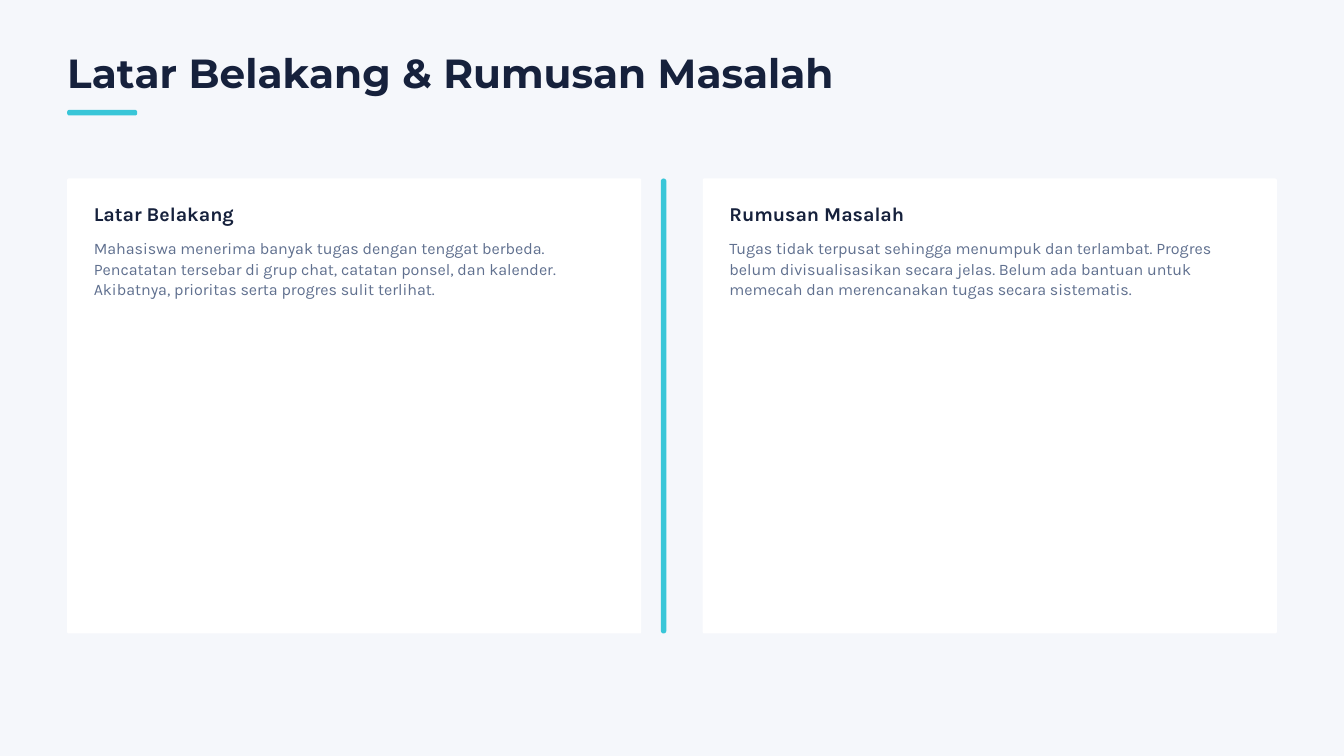
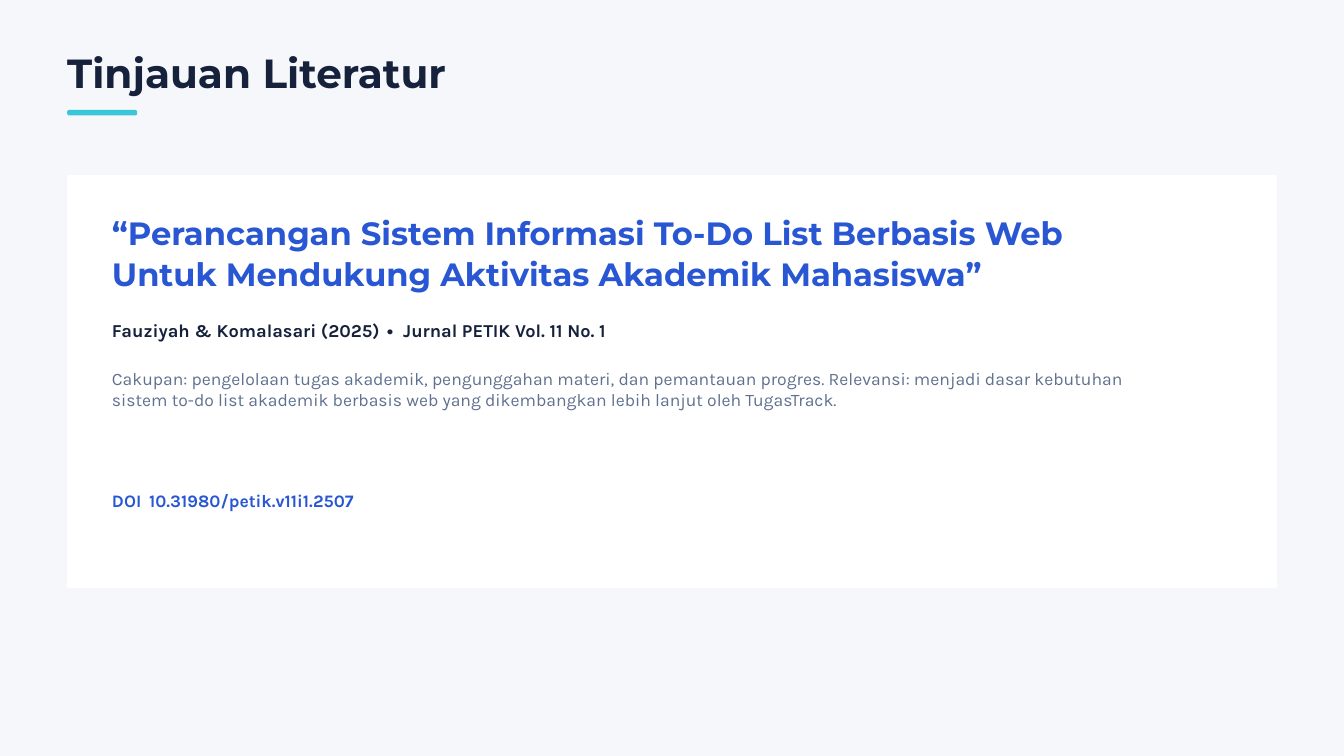
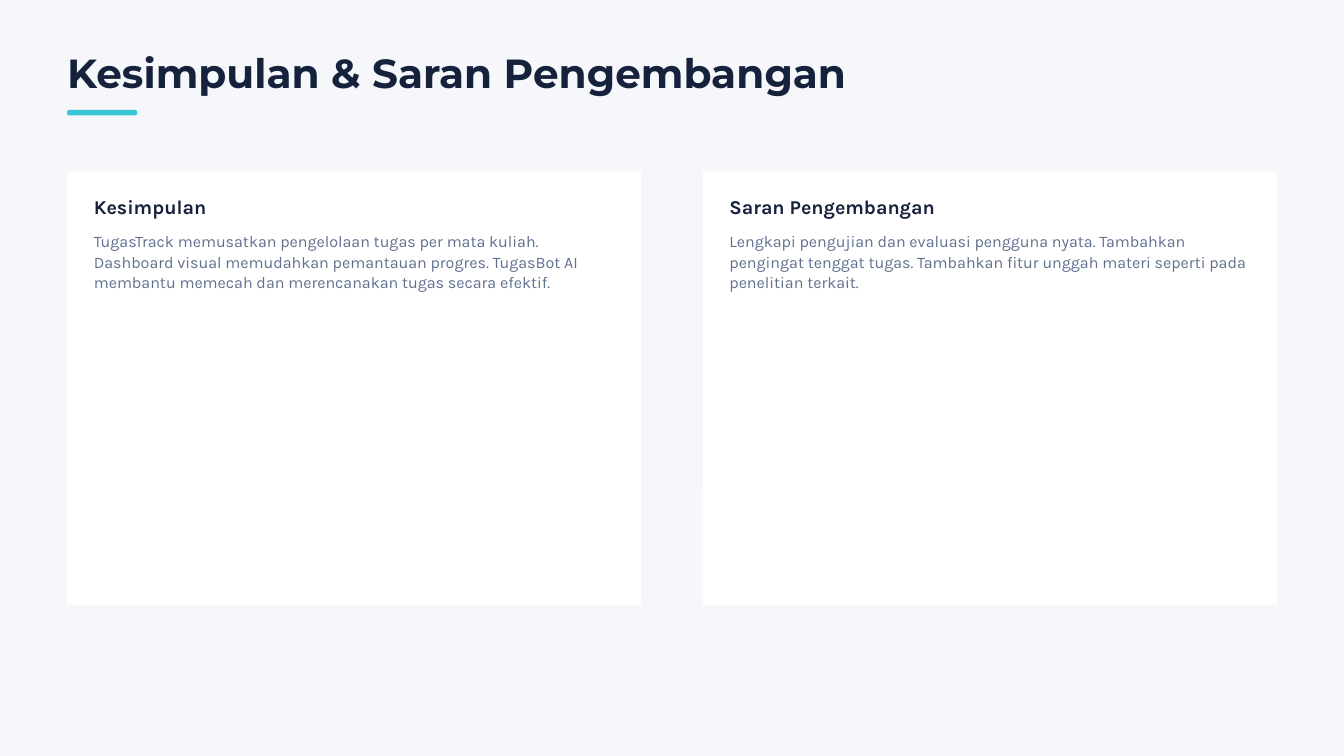
from dataclasses import dataclass

from lxml import etree
from pptx import Presentation
from pptx import util as u
from pptx.dml import color
from pptx.enum import shapes, text
from pptx.oxml import ns
from pptx.slide import Slide

PX = 9525
WIDTH, HEIGHT = 1920, 1080
MARGIN = 96
COLORS = {
    "page": "F5F7FB",
    "card": "FFFFFF",
    "ink": "16213C",
    "muted": "60708F",
    "blue": "2957D3",
    "accent": "39C6D8",
}


@dataclass(frozen=True)
class Box:
    """A rectangle in px."""

    left: int
    top: int
    width: int
    height: int

    def emu(self) -> tuple[int, ...]:
        """Return the rectangle in EMU."""
        return tuple(v * PX for v in (self.left, self.top, self.width, self.height))


@dataclass(frozen=True)
class Style:
    """A text style with sizes in points."""

    font: str
    size: float
    leading: float
    color: str
    bold: bool = True


@dataclass(frozen=True)
class Card:
    """A heading with its explanation."""

    heading: str
    body: str


TITLE = Style("Montserrat", 43.5, 54.4, "ink")
PAPER = Style("Montserrat", 34.5, 43.1, "blue")
HEADING = Style("Karla", 21, 26.2, "ink")
BODY = Style("Karla", 17.2, 21.6, "muted", False)
AUTHORS = Style("Karla", 19.5, 24.4, "ink")
SCOPE = Style("Karla", 18.8, 23.4, "muted", False)
DOI = Style("Karla", 18.8, 23.4, "blue")

CARD_WIDTH = 820
CARD_GAP = WIDTH - 2 * (MARGIN + CARD_WIDTH)
CARD_PAD = 38

BACKGROUND_CARDS = (
    Card(
        "Latar Belakang",
        "Mahasiswa menerima banyak tugas dengan tenggat berbeda. Pencatatan tersebar "
        "di grup chat, catatan ponsel, dan kalender. Akibatnya, prioritas serta "
        "progres sulit terlihat.",
    ),
    Card(
        "Rumusan Masalah",
        "Tugas tidak terpusat sehingga menumpuk dan terlambat. Progres belum "
        "divisualisasikan secara jelas. Belum ada bantuan untuk memecah dan "
        "merencanakan tugas secara sistematis.",
    ),
)
CONCLUSION_CARDS = (
    Card(
        "Kesimpulan",
        "TugasTrack memusatkan pengelolaan tugas per mata kuliah. Dashboard visual "
        "memudahkan pemantauan progres. TugasBot AI membantu memecah dan "
        "merencanakan tugas secara efektif.",
    ),
    Card(
        "Saran Pengembangan",
        "Lengkapi pengujian dan evaluasi pengguna nyata. Tambahkan pengingat tenggat "
        "tugas. Tambahkan fitur unggah materi seperti pada penelitian terkait.",
    ),
)


def rgb(name: str) -> color.RGBColor:
    """Look up a named colour."""
    return color.RGBColor.from_string(COLORS[name])


def add_panel(s: Slide, box: Box, fill: str, radius: int) -> None:
    """Draw a filled rounded rectangle without a line."""
    sp = s.shapes.add_shape(shapes.MSO_SHAPE.ROUNDED_RECTANGLE, *box.emu())
    sp.adjustments[0] = radius / min(box.width, box.height)
    sp.shadow.inherit = False
    sp.fill.solid()
    sp.fill.fore_color.rgb = rgb(fill)
    sp.line.fill.background()


def add_text(
    s: Slide, box: Box, content: str, style: Style, tabs: tuple[int, ...] = ()
) -> None:
    """Draw one paragraph, with optional tab stops in px."""
    tf = s.shapes.add_textbox(*box.emu()).text_frame
    tf.word_wrap = True
    tf.auto_size = text.MSO_AUTO_SIZE.SHAPE_TO_FIT_TEXT
    tf.margin_left = tf.margin_top = tf.margin_right = tf.margin_bottom = 0
    p = tf.paragraphs[0]
    p.text = content
    if tabs:
        stops = etree.SubElement(p._p.get_or_add_pPr(), ns.qn("a:tabLst"))
        for tab in tabs:
            etree.SubElement(stops, ns.qn("a:tab"), pos=str(tab * PX), algn="l")
    p.line_spacing = u.Pt(style.leading)
    p.font.name = style.font
    p.font.size = u.Pt(style.size)
    p.font.bold = style.bold
    p.font.color.rgb = rgb(style.color)


def add_slide(prs: Presentation, title: str) -> Slide:
    """Add a slide with the shared background, title and accent bar."""
    s = prs.slides.add_slide(prs.slide_layouts[6])
    s.background.fill.solid()
    s.background.fill.fore_color.rgb = rgb("page")
    add_text(s, Box(MARGIN, 66, 1500, 71), title, TITLE)
    add_panel(s, Box(MARGIN, 157, 100, 8), "accent", 3)
    return s


def add_cards(s: Slide, cards: tuple[Card, ...], top: int, height: int) -> None:
    """Draw cards side by side."""
    for i, card in enumerate(cards):
        left = MARGIN + i * (CARD_WIDTH + CARD_GAP)
        inner = left + CARD_PAD
        add_panel(s, Box(left, top, CARD_WIDTH, height), "card", 2)
        add_text(s, Box(inner, top + 32, 748, 36), card.heading, HEADING)
        add_text(s, Box(inner, top + 85, 744, 83), card.body, BODY)


def add_background(prs: Presentation) -> None:
    """Build the background and problem slide."""
    s = add_slide(prs, "Latar Belakang & Rumusan Masalah")
    top, height = 255, 650
    add_cards(s, BACKGROUND_CARDS, top, height)
    add_panel(s, Box(944, top, 8, height), "accent", 4)


def add_literature(prs: Presentation) -> None:
    """Build the literature review slide."""
    s = add_slide(prs, "Tinjauan Literatur")
    left = 160
    add_panel(s, Box(MARGIN, 250, WIDTH - 2 * MARGIN, 590), "card", 1)
    add_text(
        s,
        Box(left, 303, 1500, 113),
        "“Perancangan Sistem Informasi To-Do List Berbasis Web "
        "Untuk Mendukung Aktivitas Akademik Mahasiswa”",
        PAPER,
    )
    add_text(
        s,
        Box(left, 455, 1400, 31),
        "Fauziyah & Komalasari (2025)\t•\tJurnal PETIK Vol. 11 No. 1",
        AUTHORS,
        (393, 416),
    )
    add_text(
        s,
        Box(left, 524, 1500, 61),
        "Cakupan: pengelolaan tugas akademik, pengunggahan materi, dan pemantauan "
        "progres. Relevansi: menjadi dasar kebutuhan sistem to-do list akademik "
        "berbasis web yang dikembangkan lebih lanjut oleh TugasTrack.",
        SCOPE,
    )
    add_text(s, Box(left, 699, 700, 31), "DOI\t10.31980/petik.v11i1.2507", DOI, (53,))


def add_conclusion(prs: Presentation) -> None:
    """Build the conclusion slide."""
    s = add_slide(prs, "Kesimpulan & Saran Pengembangan")
    add_cards(s, CONCLUSION_CARDS, 245, 620)


def main() -> None:
    """Build and save the presentation."""
    prs = Presentation()
    prs.slide_width, prs.slide_height = WIDTH * PX, HEIGHT * PX
    add_background(prs)
    add_literature(prs)
    add_conclusion(prs)
    prs.save("out.pptx")


if __name__ == "__main__":
    main()
